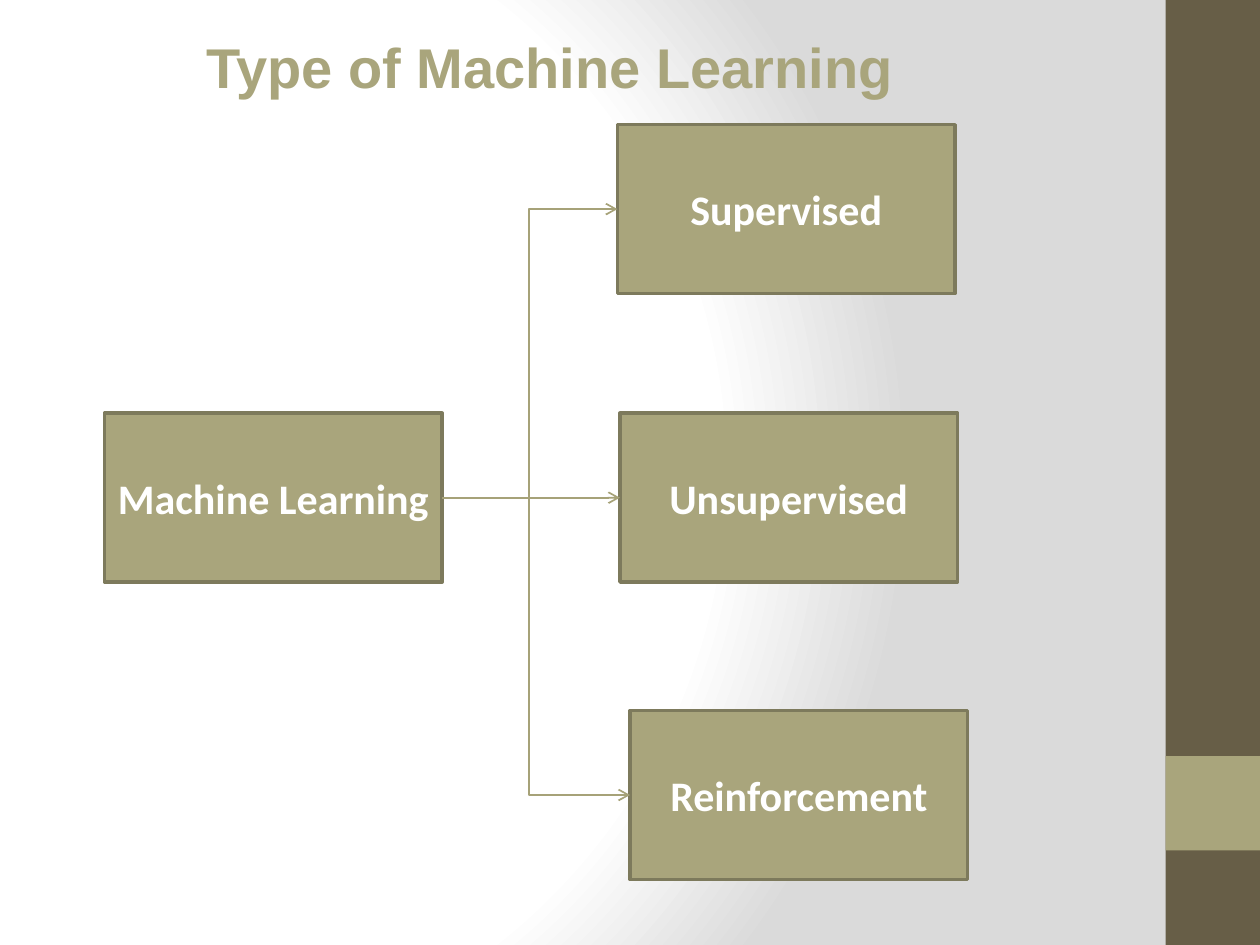
from lxml.etree import SubElement
from pptx import Presentation
from pptx.dml.color import RGBColor
from pptx.enum.shapes import MSO_CONNECTOR as Link, MSO_SHAPE as Shape
from pptx.enum.text import MSO_ANCHOR as Anchor, MSO_AUTO_SIZE as AutoSize, PP_ALIGN as Align
from pptx.oxml import parse_xml
from pptx.oxml.ns import nsdecls, qn
from pptx.util import Inches, Pt

COLORS = {
    "white": "FFFFFF",
    "gray": "DADADA",
    "brown": "675E47",
    "olive": "A9A57C",
    "border": "7D7A5C",
    "arrow": "A6A278",
}
LEFT_SITE, RIGHT_SITE = 1, 3
BOX_WIDTH, BOX_HEIGHT = 2.68, 1.34
TRUNK_X = 4.2


class SlideBuilder:
    def __init__(self, page):
        self.page = page

    def color(self, name):
        return RGBColor.from_string(COLORS[name])

    def background(self, stops, focus):
        self.page.background.fill.solid()
        solid = self.page.element.find(".//" + qn("a:solidFill"))
        gradient = parse_xml(f'<a:gradFill {nsdecls("a")} rotWithShape="1"/>')
        stop_list = SubElement(gradient, qn("a:gsLst"))
        for position, name in stops:
            stop = SubElement(stop_list, qn("a:gs"), pos=str(position * 1000))
            SubElement(stop, qn("a:srgbClr"), val=COLORS[name])
        shade = SubElement(gradient, qn("a:path"), {"path": "circle"})
        sides = {side: str(share * 1000) for side, share in zip("ltrb", focus)}
        SubElement(shade, qn("a:fillToRect"), sides)
        solid.getparent().replace(solid, gradient)

    def panel(self, left, top, width, height, fill):
        panel = self.page.shapes.add_shape(
            Shape.RECTANGLE, Inches(left), Inches(top), Inches(width), Inches(height))
        panel.shadow.inherit = False
        panel.fill.solid()
        panel.fill.fore_color.rgb = self.color(fill)
        panel.line.fill.background()
        return panel

    def style_text(self, frame, text, font, size, color, align):
        frame.text = text
        para = frame.paragraphs[0]
        para.alignment = align
        span = para.runs[0]
        span.font.name = font
        span.font.size = Pt(size)
        span.font.bold = True
        span.font.color.rgb = self.color(color)

    def box(self, text, left, top):
        box = self.panel(left, top, BOX_WIDTH, BOX_HEIGHT, "olive")
        box.line.color.rgb = self.color("border")
        box.line.width = Pt(2)
        box.text_frame.vertical_anchor = Anchor.MIDDLE
        self.style_text(box.text_frame, text, "Calibri", 24, "white", Align.CENTER)
        return box

    def arrow(self, kind, source, target):
        arrow = self.page.shapes.add_connector(kind, 0, 0, 0, 0)
        arrow.begin_connect(source, RIGHT_SITE)
        arrow.end_connect(target, LEFT_SITE)
        arrow.line.color.rgb = self.color("arrow")
        arrow.line.width = Pt(1)
        properties = arrow.element.spPr
        SubElement(properties.find(qn("a:ln")), qn("a:tailEnd"), type="arrow")
        SubElement(properties, qn("a:effectLst"))
        if kind == Link.ELBOW:
            bend = (Inches(TRUNK_X) - arrow.begin_x) / (arrow.end_x - arrow.begin_x)
            guides = properties.find(qn("a:prstGeom")).find(qn("a:avLst"))
            SubElement(guides, qn("a:gd"), name="adj1", fmla=f"val {round(bend * 100000)}")

    def title(self, text, left, top, width, height):
        title = self.page.shapes.add_textbox(
            Inches(left), Inches(top), Inches(width), Inches(height))
        title.text_frame.word_wrap = True
        title.text_frame.auto_size = AutoSize.SHAPE_TO_FIT_TEXT
        self.style_text(title.text_frame, text, "Arial", 32, "olive", Align.LEFT)


def main():
    deck = Presentation()
    deck.slide_width, deck.slide_height = Inches(10), Inches(7.5)
    builder = SlideBuilder(deck.slides.add_slide(deck.slide_layouts[6]))

    builder.background([(0, "white"), (75, "white"), (100, "gray")], (20, 50, 100, 50))
    builder.panel(9.25, 0, 0.75, 7.5, "brown")
    builder.panel(9.25, 6, 0.75, 0.75, "olive")

    root = builder.box("Machine Learning", 0.83, 3.28)
    branches = [
        ("Reinforcement", 5, 5.64, Link.ELBOW),
        ("Unsupervised", 4.92, 3.28, Link.STRAIGHT),
        ("Supervised", 4.9, 0.99, Link.ELBOW),
    ]
    for text, left, top, kind in branches:
        builder.arrow(kind, root, builder.box(text, left, top))

    builder.title("Type of Machine Learning", 1.54, 0.21, 6.22, 0.64)
    deck.save("out.pptx")


if __name__ == "__main__":
    main()
